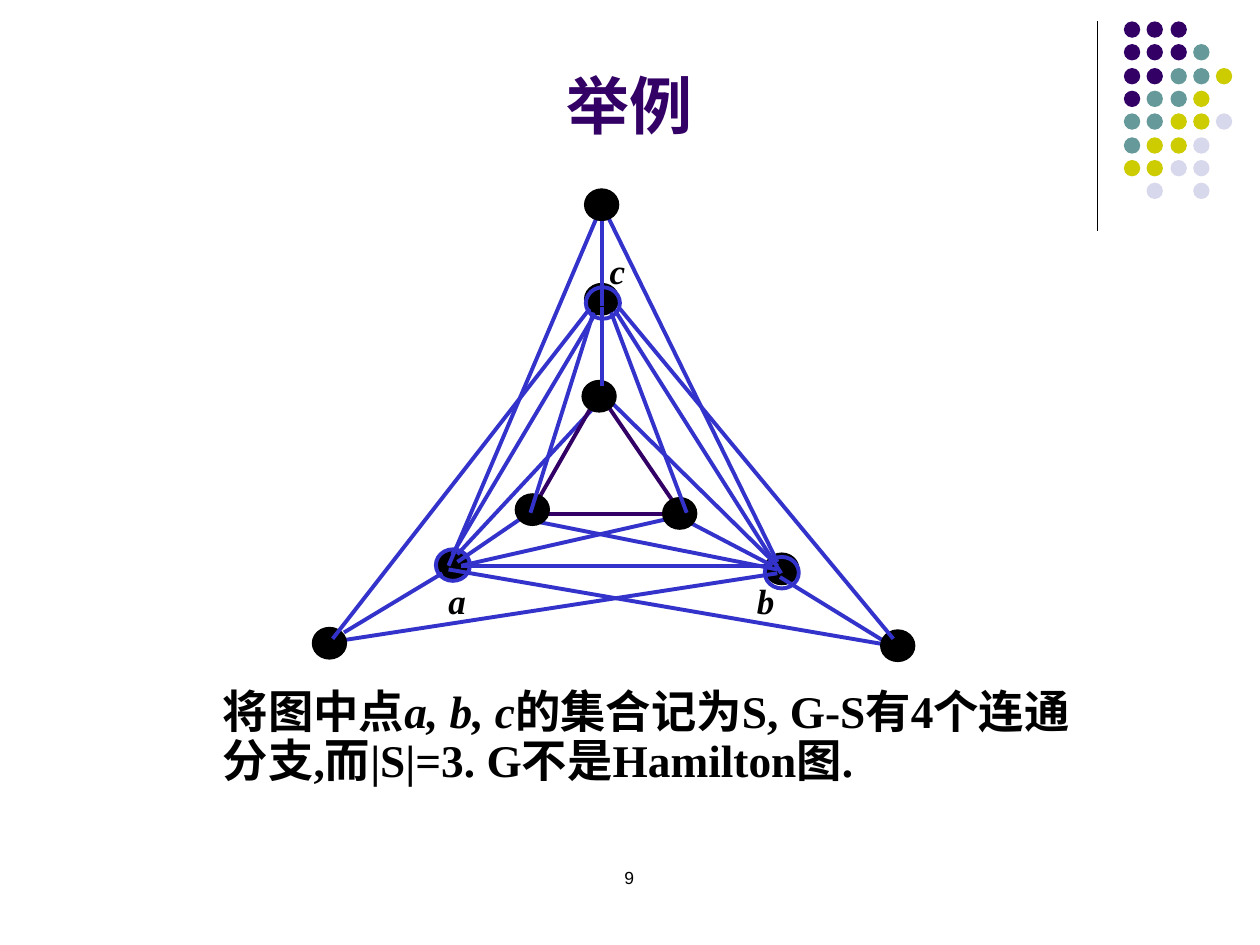
from lxml.etree import SubElement
from pptx import Presentation
from pptx.dml.color import RGBColor
from pptx.enum.shapes import MSO_CONNECTOR, MSO_SHAPE
from pptx.enum.text import MSO_ANCHOR, PP_ALIGN
from pptx.oxml.ns import qn
from pptx.util import Pt

PX = 9144  # 100 px to the inch
BLACK = RGBColor(0x00, 0x00, 0x00)
PURPLE = RGBColor(0x33, 0x00, 0x66)
TEAL = RGBColor(0x66, 0x99, 0x99)
OLIVE = RGBColor(0xCC, 0xCC, 0x00)
LILAC = RGBColor(0xD8, 0xD8, 0xEC)
BLUE = RGBColor(0x33, 0x33, 0xCC)
SERIF = "Times New Roman"

deck = Presentation()
deck.slide_width, deck.slide_height = 1000 * PX, 750 * PX
page = deck.slides.add_slide(deck.slide_layouts[6])


def add_ellipse(left, top, width, height, fill=None, line=None, weight=0.75):
    ellipse = page.shapes.add_shape(
        MSO_SHAPE.OVAL, left * PX, top * PX, width * PX, height * PX)
    ellipse.shadow.inherit = False
    if fill is None:
        ellipse.fill.background()
    else:
        ellipse.fill.solid()
        ellipse.fill.fore_color.rgb = fill
    if line is None:
        ellipse.line.fill.background()
    else:
        ellipse.line.color.rgb = line
        ellipse.line.width = Pt(weight)


def add_line(x1, y1, x2, y2, color=BLUE, weight=2.25):
    line = page.shapes.add_connector(
        MSO_CONNECTOR.STRAIGHT, x1 * PX, y1 * PX, x2 * PX, y2 * PX)
    line.line.color.rgb = color
    line.line.width = Pt(weight)
    SubElement(line._element.spPr, qn("a:effectLst"))


# Corner ornament: a rule and a grid of dots
add_line(871, 17, 871, 183, BLACK, 0.75)
dot_colors = {"P": PURPLE, "T": TEAL, "O": OLIVE, "L": LILAC}
dot_rows = ["PPP", "PPPT", "PPTTO", "PTTO", "TTOOL", "TOOL", "OOLL", ".L.L"]
for row, codes in enumerate(dot_rows):
    for column, code in enumerate(codes):
        if code in dot_colors:
            add_ellipse(892 + round(column * 18.33), 17 + round(row * 18.33),
                        13, 13, dot_colors[code])

# Graph parts from back to front: nodes, edges, edge colour, ring
NODE_WIDTH, NODE_HEIGHT = 27, 25
graph_parts = [
    # Vertex a
    ([(346, 436)],
     [(366, 449, 630, 449), (476, 167, 356, 449), (476, 243, 359, 440),
      (356, 452, 717, 514), (423, 405, 363, 446), (351, 455, 273, 502),
      (366, 449, 547, 408), (363, 440, 483, 311)],
     BLUE, (346, 436)),
    # Vertex b
    ([(607, 439)],
     [(480, 167, 617, 446), (486, 243, 620, 455), (619, 458, 710, 514),
      (546, 414, 613, 449), (426, 414, 617, 452), (273, 508, 617, 455),
      (486, 320, 617, 449)],
     BLUE, (607, 442)),
    # Inner triangle
    ([], [(429, 408, 529, 408), (471, 320, 424, 402), (481, 320, 541, 408)],
     PURPLE, None),
    # Inner and outer vertices
    ([(248, 498), (409, 392), (464, 150), (462, 302), (526, 395), (699, 500)],
     [], BLUE, None),
    # Vertex c
    ([(464, 225)],
     [(478, 175, 478, 243), (478, 244, 478, 306), (471, 248, 421, 407),
      (485, 248, 545, 407), (492, 245, 709, 507), (468, 245, 264, 507)],
     BLUE, (465, 228)),
]
for nodes, edges, edge_color, ring in graph_parts:
    for left, top in nodes:
        add_ellipse(left, top, NODE_WIDTH, NODE_HEIGHT, BLACK, BLACK)
    for edge in edges:
        add_line(*edge, edge_color)
    if ring:
        add_ellipse(*ring, NODE_WIDTH, NODE_HEIGHT, None, BLUE, 2.25)

# Texts: place, wrap, anchor, alignment, line spacing, font, size, colour,
# bold, and runs with their italic flag
TOP, BOTTOM = MSO_ANCHOR.TOP, MSO_ANCHOR.BOTTOM
LEFT, CENTER = PP_ALIGN.LEFT, PP_ALIGN.CENTER
texts = [
    ((0, 53, 1000, 65), True, BOTTOM, CENTER, 1.0, "Arial", 36, PURPLE, True,
     [("举例", False)]),
    ((167, 542, 692, 133), True, TOP, LEFT, 0.9, SERIF, 25.9, BLACK, True,
     [("将图中点", False), ("a, b, c", True),
      ("的集合记为S, G-S有4个连通分支,而|S|=3. G不是Hamilton图.", False)]),
    ((383, 683, 233, 50), True, TOP, CENTER, 1.0, "Arial", 10, BLACK, False,
     [("9", False)]),
]
vertex_labels = [("a", 346, 455, 37, 40), ("b", 591, 455, 37, 40),
                 ("c", 474, 193, 38, 31)]
for label, *place in vertex_labels:
    texts.append((place, False, TOP, LEFT, 1.0, SERIF, 20, BLACK, True,
                  [(label, True)]))

for place, wrap, anchor, align, spacing, font, size, color, bold, runs in texts:
    box = page.shapes.add_textbox(*(length * PX for length in place))
    frame = box.text_frame
    frame.word_wrap = wrap
    frame.vertical_anchor = anchor
    para = frame.paragraphs[0]
    para.alignment = align
    para.line_spacing = spacing
    for words, italic in runs:
        span = para.add_run()
        span.text = words
        span.font.name = font
        span.font.size = Pt(size)
        span.font.color.rgb = color
        span.font.bold = bold
        span.font.italic = italic

deck.save("out.pptx")
